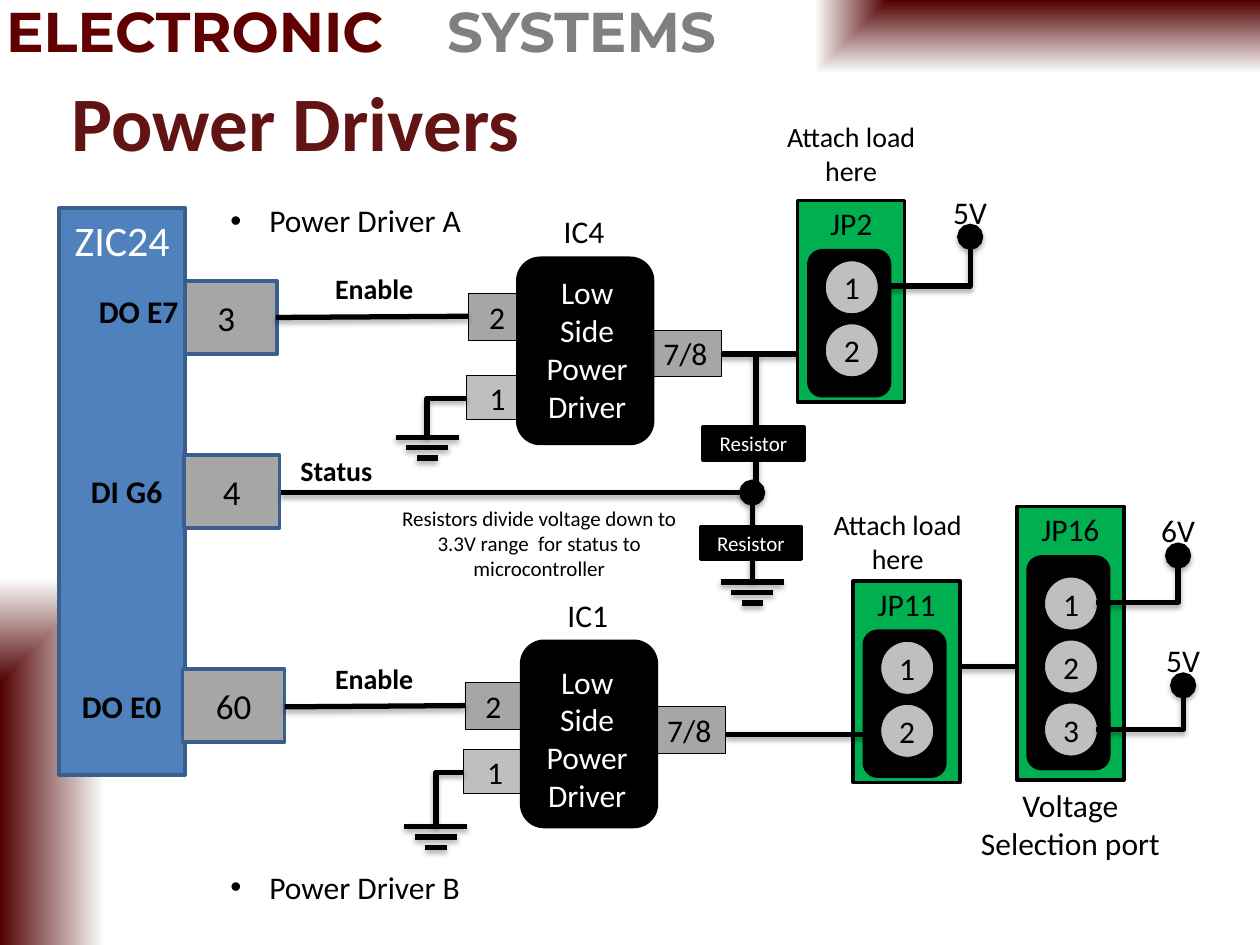
from lxml.etree import SubElement
from pptx import Presentation
from pptx.dml.color import RGBColor
from pptx.enum.shapes import MSO_CONNECTOR, MSO_SHAPE
from pptx.enum.text import MSO_ANCHOR, PP_ALIGN
from pptx.oxml import parse_xml
from pptx.oxml.ns import nsdecls, qn
from pptx.util import Inches, Pt

BLACK, WHITE, GREEN = "000000", "FFFFFF", "00B050"
GREY, LIGHT = "A6A6A6", "BFBFBF"
BLUE, NAVY = "4F81BD", "3A5F8C"


def rgb(value):
    return RGBColor.from_string(value)


def write(tf, content, size=18, color=BLACK, bold=False, font="Calibri",
          align=PP_ALIGN.CENTER, anchor=MSO_ANCHOR.TOP):
    """Fill a text frame, one paragraph for each line."""
    tf.word_wrap = True
    tf.vertical_anchor = anchor
    for i, line in enumerate(content.split("\n")):
        p = tf.paragraphs[0] if i == 0 else tf.add_paragraph()
        p.alignment = align
        add_run(p, line, size, color, bold, font)


def add_run(p, content, size, color, bold, font):
    r = p.add_run()
    r.text = content
    r.font.size, r.font.bold, r.font.name = Pt(size), bold, font
    r.font.color.rgb = rgb(color)


def label(s, x, y, w, h, content, **fmt):
    sp = s.shapes.add_textbox(Inches(x), Inches(y), Inches(w), Inches(h))
    write(sp.text_frame, content, **fmt)
    return sp


def block(s, x, y, w, h, fill, line=BLACK, weight=2.0, kind=MSO_SHAPE.RECTANGLE,
          content=None, right=0, **fmt):
    """Filled shape; right is the part of its width kept free of text."""
    sp = s.shapes.add_shape(kind, Inches(x), Inches(y), Inches(w), Inches(h))
    sp.shadow.inherit = False
    sp.fill.solid()
    sp.fill.fore_color.rgb = rgb(fill)
    sp.line.color.rgb = rgb(line)
    sp.line.width = Pt(weight)
    if content:
        tf = sp.text_frame
        tf.margin_left = tf.margin_top = tf.margin_bottom = 0
        tf.margin_right = Inches(right)
        write(tf, content, anchor=MSO_ANCHOR.MIDDLE, **fmt)
    return sp


def wire(s, x1, y1, x2, y2, bent=False, dot=None):
    """Black wire with a soft shadow; dot is 'headEnd' or 'tailEnd'."""
    kind = MSO_CONNECTOR.ELBOW if bent else MSO_CONNECTOR.STRAIGHT
    c = s.shapes.add_connector(kind, *map(Inches, (x1, y1, x2, y2)))
    c.line.color.rgb = rgb(BLACK)
    c.line.width = Pt(3)
    sp_pr = c._element.spPr
    if bent:
        sp_pr.find(qn("a:prstGeom")).set("prst", "bentConnector2")
    if dot:
        SubElement(sp_pr.find(qn("a:ln")), qn("a:" + dot), type="oval", w="lg", len="lg")
    sp_pr.append(parse_xml(
        f'<a:effectLst {nsdecls("a")}><a:outerShdw blurRad="40000" dist="23000" '
        'dir="5400000" rotWithShape="0"><a:srgbClr val="000000">'
        '<a:alpha val="35000"/></a:srgbClr></a:outerShdw></a:effectLst>'))


def ground(s, x, y):
    """Earth symbol: three shrinking bars centred on x."""
    for i in range(3):
        half = 0.25 - 0.083 * i
        wire(s, x - half, y + 0.083 * i, x + half, y + 0.083 * i)


def corner_fade(s, x, y, w, h, focus):
    sp = block(s, x, y, w, h, WHITE)
    sp.line.fill.background()
    sp_pr = sp._element.spPr
    old = sp_pr.find(qn("a:solidFill"))
    l, t, r, b = focus
    sp_pr.replace(old, parse_xml(
        f'<a:gradFill {nsdecls("a")} rotWithShape="1"><a:gsLst>'
        '<a:gs pos="0"><a:srgbClr val="500000"/></a:gs>'
        '<a:gs pos="100000"><a:srgbClr val="FFFFFF"/></a:gs></a:gsLst>'
        f'<a:path path="rect"><a:fillToRect l="{l}" t="{t}" r="{r}" b="{b}"/>'
        '</a:path></a:gradFill>'))


def frame(s):
    """Corner fades, course banner and title."""
    full = 100000
    corner_fade(s, 2.92, 0, 7.08, 1.17, (full, 0, 0, full))
    corner_fade(s, 0, 1.67, 1.67, 5.83, (0, full, full, 0))
    sp = label(s, -0.05, -0.08, 6.38, 0.64, "ELECTRONIC\t", size=32, color="600000",
               bold=True, font="Montserrat", align=PP_ALIGN.LEFT)
    p = sp.text_frame.paragraphs[0]
    add_run(p, "SYSTEMS", 32, "808080", True, "Montserrat")
    tabs = SubElement(p._p.get_or_add_pPr(), qn("a:tabLst"))
    SubElement(tabs, qn("a:tab"), pos=str(Inches(3.5)), algn="l")
    label(s, 0.47, 0.33, 9, 1.25, "Power Drivers", size=44, color="621414", bold=True,
          align=PP_ALIGN.LEFT, anchor=MSO_ANCHOR.MIDDLE)


def bullet(s, x, y, content):
    sp = label(s, x, y, 2.46, 0.4, content, align=PP_ALIGN.LEFT)
    p_pr = sp.text_frame.paragraphs[0]._p.get_or_add_pPr()
    p_pr.set("marL", str(Inches(0.31)))
    p_pr.set("indent", str(-Inches(0.31)))
    SubElement(p_pr, qn("a:buFont"), typeface="Arial")
    SubElement(p_pr, qn("a:buChar"), char="•")


def microcontroller(s, x, y):
    """Microcontroller body with its three port pins."""
    def pin(dx, dy, w, number):
        block(s, x + dx, y + dy, w, 0.58, GREY, NAVY, content=number, size=20)

    pin(0.92, 0.58, 0.81, "3")
    block(s, x, y, 1, 4.5, BLUE, NAVY)
    label(s, x, y, 1, 0.5, "ZIC24", size=24, color=WHITE)
    pin(0.99, 1.96, 0.76, "4")
    pin(0.98, 3.66, 0.81, "60")
    for dx, dy, w, port in ((0.09, 0.62, 1.08, "DO E7"), (0.07, 2.05, 0.93, "DI G6"),
                            (0.03, 3.75, 0.93, "DO E0")):
        label(s, x + dx, y + dy, w, 0.4, port, bold=True)


def power_driver(s, x, y, name, name_at, enable, ground_pin, out, earth, start, text_at):
    """Driver chip at x, y; enable, ground_pin and out are pin corners."""
    label(s, *name_at, 0.89, 0.4, name)
    ex, ey = enable
    gx, gy = ground_pin
    block(s, ex, ey, 0.58, 0.37, GREY, weight=0.5, content="2", right=0.13)
    block(s, gx, gy, 0.5, 0.35, LIGHT, weight=0.5, content="1")
    block(s, *out, 0.58, 0.37, GREY, weight=0.5, content="7/8")
    block(s, x, y, 1.07, 1.47, BLACK, kind=MSO_SHAPE.ROUNDED_RECTANGLE)
    label(s, *text_at, 1.04, 1.31, "Low\nSide\nPower\nDriver", color=WHITE)
    # Enable and ground wiring
    wire(s, start, ey + 0.19, ex, ey + 0.18)
    label(s, 2.25, ey - 0.22, 1.44, 0.37, "Enable", size=16, bold=True)
    wire(s, gx, gy + 0.18, earth[0], earth[1], bent=True)
    ground(s, *earth)


def connector_port(s, x, y, name, pins, first):
    """Jumper block; first is the offset of the top pin."""
    block(s, x, y, 0.85, 0.46 + 0.57 * pins, GREEN)
    block(s, x + 0.09, y + 0.4, 0.64, 0.09 + 0.53 * pins, BLACK,
          kind=MSO_SHAPE.ROUNDED_RECTANGLE)
    for i in range(pins):
        block(s, x + 0.22, y + first + 0.5 * i, 0.42, 0.42, LIGHT, weight=0.5,
              kind=MSO_SHAPE.OVAL, content=str(i + 1))
    label(s, x, y - 0.02, 0.85, 0.4, name)


def supply(s, x1, y1, x2, y2, volts):
    label(s, x2 - 0.37, y2 - 0.4, 0.74, 0.4, volts)
    wire(s, x1, y1, x2, y2, bent=True, dot="tailEnd")


def status_divider(s, x, y):
    """Status line into the resistor divider; x, y is its junction."""
    wire(s, x + 0.03, 2.82, x + 0.03, y)
    wire(s, x, y, x, y + 0.7, dot="headEnd")
    ground(s, x, y + 0.71)
    for rx, ry in ((x - 0.39, y - 0.52), (x - 0.41, y + 0.27)):
        block(s, rx, ry, 0.8, 0.26, BLACK, content="Resistor", size=12, color=WHITE)
    wire(s, 2.23, y, x, y)
    label(s, 2.17, y - 0.36, 1, 0.37, "Status", size=16, bold=True)
    label(s, 3.07, y + 0.05, 2.42, 0.71, "Resistors divide voltage down to "
          "3.3V range  for status to microcontroller", size=12)


def main():
    prs = Presentation()
    prs.slide_width, prs.slide_height = Inches(10), Inches(7.5)
    s = prs.slides.add_slide(prs.slide_layouts[6])
    frame(s)
    bullet(s, 1.73, 1.55, "Power Driver A")
    bullet(s, 1.73, 6.84, "Power Driver B")
    microcontroller(s, 0.47, 1.65)

    # Driver A and its load port
    wire(s, 5.4, 2.81, 6.5, 2.81)
    power_driver(s, 4.11, 2.05, "IC4", (4.19, 1.63), (3.72, 2.33), (3.7, 2.98),
                 (5.15, 2.62), (3.39, 3.47), 2.19, (4.14, 2.12))
    connector_port(s, 6.33, 1.59, "JP2", 2, 0.48)
    supply(s, 6.98, 2.27, 7.7, 1.88, "5V")
    label(s, 5.99, 0.9, 1.53, 0.64, "Attach load here", size=16)

    # Load and voltage ports of driver B
    wire(s, 7.4, 5.29, 8.29, 5.29)
    connector_port(s, 6.77, 4.61, "JP11", 2, 0.48)
    connector_port(s, 8.07, 4.02, "JP16", 3, 0.56)
    supply(s, 8.7, 4.78, 9.35, 4.41, "6V")
    supply(s, 8.7, 5.79, 9.39, 5.44, "5V")
    label(s, 6.36, 3.98, 1.53, 0.64, "Attach load here", size=16)
    label(s, 7.6, 6.19, 1.79, 0.71, "Voltage\nSelection port")

    status_divider(s, 5.97, 3.91)

    # Driver B
    wire(s, 5.76, 5.83, 6.96, 5.83)
    power_driver(s, 4.14, 5.09, "IC1", (4.22, 4.68), (3.69, 5.42), (3.68, 5.95),
                 (5.18, 5.61), (3.46, 6.56), 2.26, (4.14, 5.21))
    prs.save("out.pptx")


if __name__ == "__main__":
    main()
